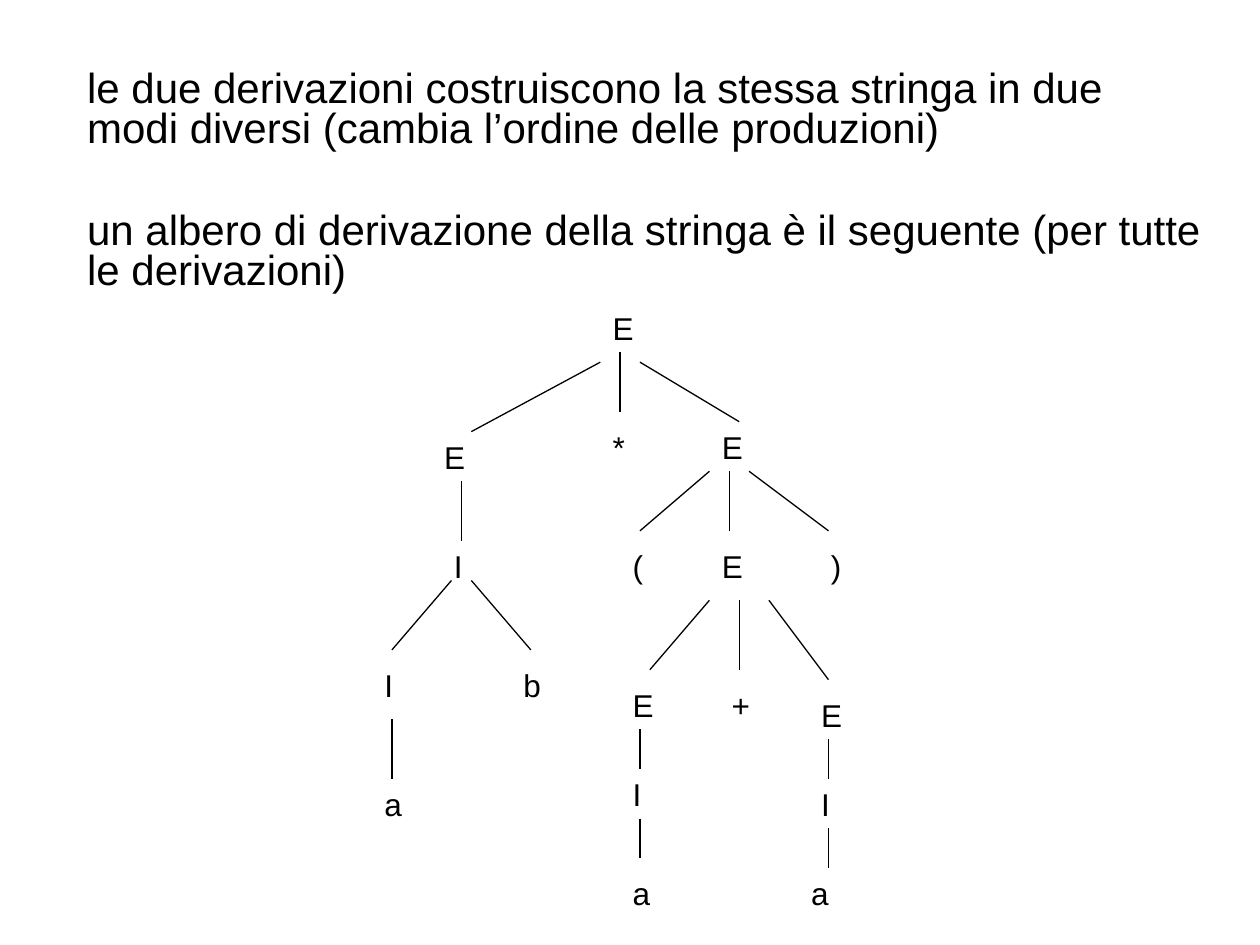
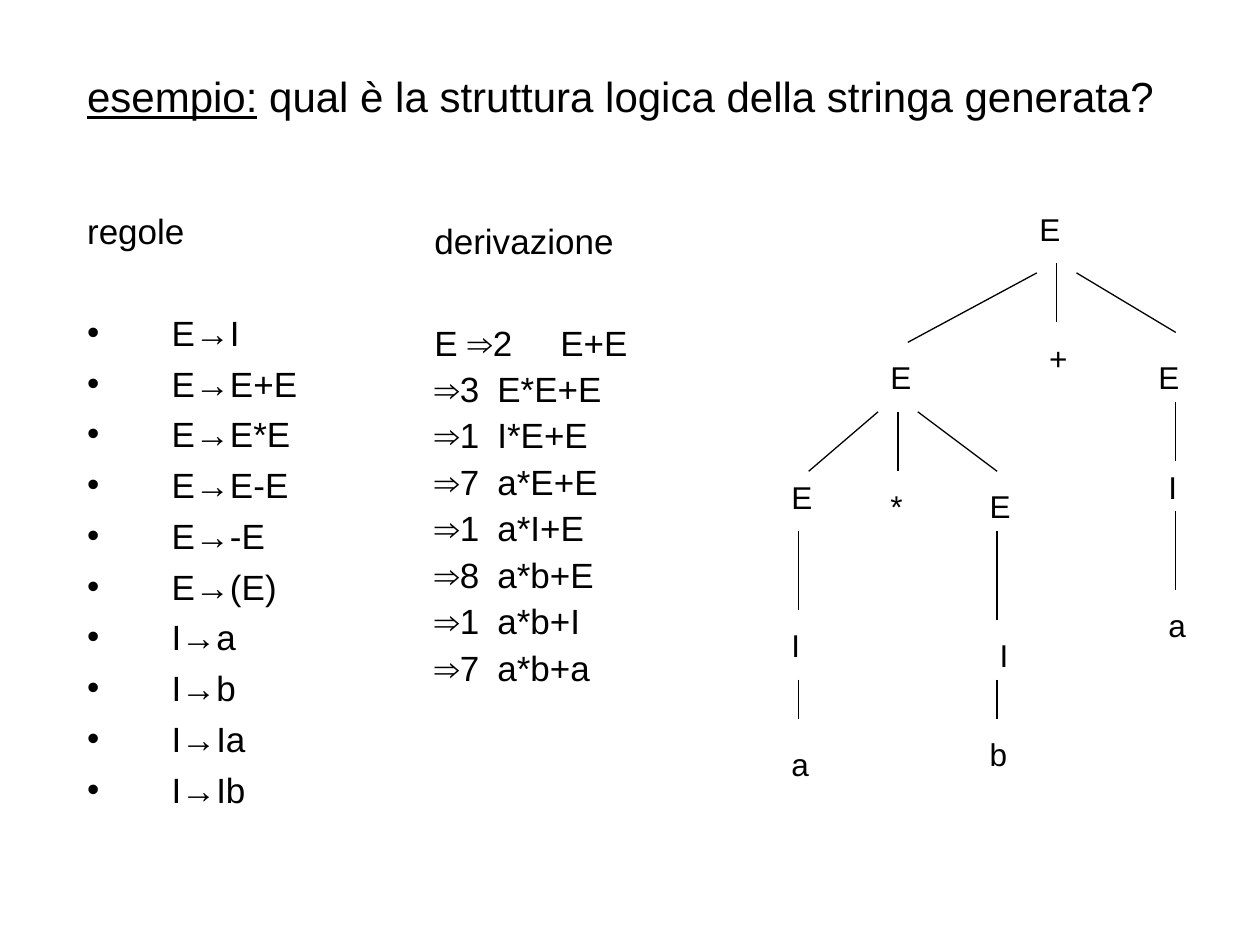
from lxml.etree import SubElement as Sub
from pptx import Presentation
from pptx.dml.color import RGBColor as Rgb
from pptx.enum.shapes import MSO_CONNECTOR as Conn
from pptx.enum.text import MSO_ANCHOR as Anchor, MSO_AUTO_SIZE as Fit, PP_ALIGN as Align
from pptx.oxml.ns import qn
from pptx.util import Inches, Pt

INK = {"text": "000000", "line": "000000"}
FONT = "Arial"

deck = Presentation()
deck.slide_width, deck.slide_height = Inches(10), Inches(7.5)
CELL = deck.slide_width / 127  # square grid, 127 columns wide
EDGE = Inches(0.04)


def spot(*cells):
    """Turn grid columns and rows into slide positions."""
    return [round(EDGE + n * CELL) for n in cells]


def style(shape, size, gap=0, lead=1.0):
    """Left-aligned text from the top; gap is the space before later paragraphs."""
    frame = shape.text_frame
    frame.word_wrap = True
    frame.auto_size = Fit.NONE
    frame.vertical_anchor = Anchor.TOP
    for n, para in enumerate(frame.paragraphs):
        para.alignment = Align.LEFT
        para.line_spacing = lead
        para.space_before = Pt(gap if n else 0)
        for run in para.runs:
            run.font.name, run.font.size = FONT, Pt(size)
            run.font.color.rgb = Rgb.from_string(INK["text"])


# Each tree: labels (text, column, row) and branches (from column, row, to column, row)
product = {
    "labels": [
        ("E", 60, 30),
        ("E", 43, 43), ("*", 60, 42), ("E", 71, 42),
        ("I", 44, 54), ("(", 62, 54), ("E", 71, 54), (")", 82, 54),
        ("I", 37, 66), ("b", 51, 66), ("E", 62, 68), ("+", 72, 68), ("E", 81, 69),
        ("a", 37, 78), ("I", 62, 77), ("I", 81, 78),
        ("a", 62, 87), ("a", 80, 87),
    ],
    "branches": [
        (60, 36, 47, 43), (62, 35, 62, 41), (64, 36, 74, 42),
        (46, 48, 46, 54), (71, 47, 64, 53), (73, 47, 73, 53), (75, 47, 83, 53),
        (45, 58, 39, 65), (47, 58, 53, 65),
        (71, 60, 65, 67), (74, 60, 74, 67), (77, 60, 83, 68),
        (39, 72, 39, 78), (64, 73, 64, 77), (83, 74, 83, 78),
        (64, 82, 64, 86), (83, 83, 83, 87),
    ],
}
total = {
    "labels": [
        ("E", 103, 20),
        ("E", 88, 35), ("+", 104, 33), ("E", 115, 35),
        ("E", 78, 47), ("*", 88, 48), ("E", 98, 48), ("I", 116, 46),
        ("I", 78, 62), ("I", 99, 63), ("a", 116, 60),
        ("a", 78, 74), ("b", 98, 73),
    ],
    "branches": [
        (104, 27, 91, 34), (106, 26, 106, 32), (108, 27, 118, 33),
        (88, 41, 81, 47), (90, 41, 90, 47), (92, 41, 100, 47), (118, 40, 118, 46),
        (80, 53, 80, 61), (100, 53, 100, 62), (118, 51, 118, 59),
        (80, 68, 80, 72), (100, 68, 100, 72),
    ],
}

# Slide 1: one tree for all derivations
first = deck.slides.add_slide(deck.slide_layouts.get_by_name("Title Only"))
intro = first.shapes.title
intro.left, intro.top = spot(7, 6)
intro.width, intro.height = round(115 * CELL), round(25 * CELL)
intro.text_frame.text = (
    "le due derivazioni costruiscono la stessa stringa in due modi diversi "
    "(cambia l’ordine delle produzioni)\n"
    "un albero di derivazione della stringa è il seguente (per tutte le derivazioni)"
)
style(intro, 24, gap=35, lead=0.8)

# Slide 2: rules, derivation and tree
second = deck.slides.add_slide(deck.slide_layouts.get_by_name("Two Content"))
head, rules, steps = second.placeholders
for box, col, row, wide, high in [(head, 7, 6, 115, 7), (rules, 7, 20, 24, 64),
                                  (steps, 42, 21, 32, 51)]:
    box.left, box.top = spot(col, row)
    box.width, box.height = round(wide * CELL), round(high * CELL)

head.text_frame.text = "esempio:"
head.text_frame.paragraphs[0].add_run().text = " qual è la struttura logica della stringa generata?"
style(head, 24)
head.text_frame.paragraphs[0].runs[0].font.underline = True

rules.text_frame.text = "\n".join(
    ["regole", "E→I", "E→E+E", "E→E*E", "E→E-E", "E→-E", "E→(E)", "I→a", "I→b", "I→Ia", "I→Ib"])
steps.text_frame.text = "\n".join(
    ["derivazione", "E ⇒2\tE+E", "⇒3\tE*E+E", "⇒1\tI*E+E", "⇒7\ta*E+E",
     "⇒1\ta*I+E", "⇒8\ta*b+E", "⇒1\ta*b+I", "⇒7\ta*b+a"])

for box, hang in [(rules, Inches(0.67)), (steps, 0)]:
    style(box, 20, gap=5)
    for n, para in enumerate(box.text_frame.paragraphs):
        props = para._p.get_or_add_pPr()
        props.set("marL", str(hang))
        props.set("indent", str(-hang))
        if hang and n:
            Sub(props, qn("a:buFont"), typeface=FONT)
            Sub(props, qn("a:buChar"), char="•")
        else:
            Sub(props, qn("a:buNone"))
        if not hang:
            tabs = Sub(props, qn("a:tabLst"))
            Sub(tabs, qn("a:tab"), pos=str(Inches(1)), algn="l")
    box.text_frame.paragraphs[1].space_before = Pt(34)
for para in steps.text_frame.paragraphs[2:]:
    para.line_spacing = 0.9

# Trees
for slide, tree in [(first, product), (second, total)]:
    for ends in tree["branches"]:
        line = slide.shapes.add_connector(Conn.STRAIGHT, *spot(*ends))
        line.line.color.rgb = Rgb.from_string(INK["line"])
        line.line.width = Pt(0.75)
        Sub(line._element.spPr, qn("a:effectLst"))
    for text, col, row in tree["labels"]:
        node = slide.shapes.add_textbox(*spot(col, row), round(5 * CELL), round(5 * CELL))
        node.text_frame.text = text
        style(node, 18)

deck.save("out.pptx")
